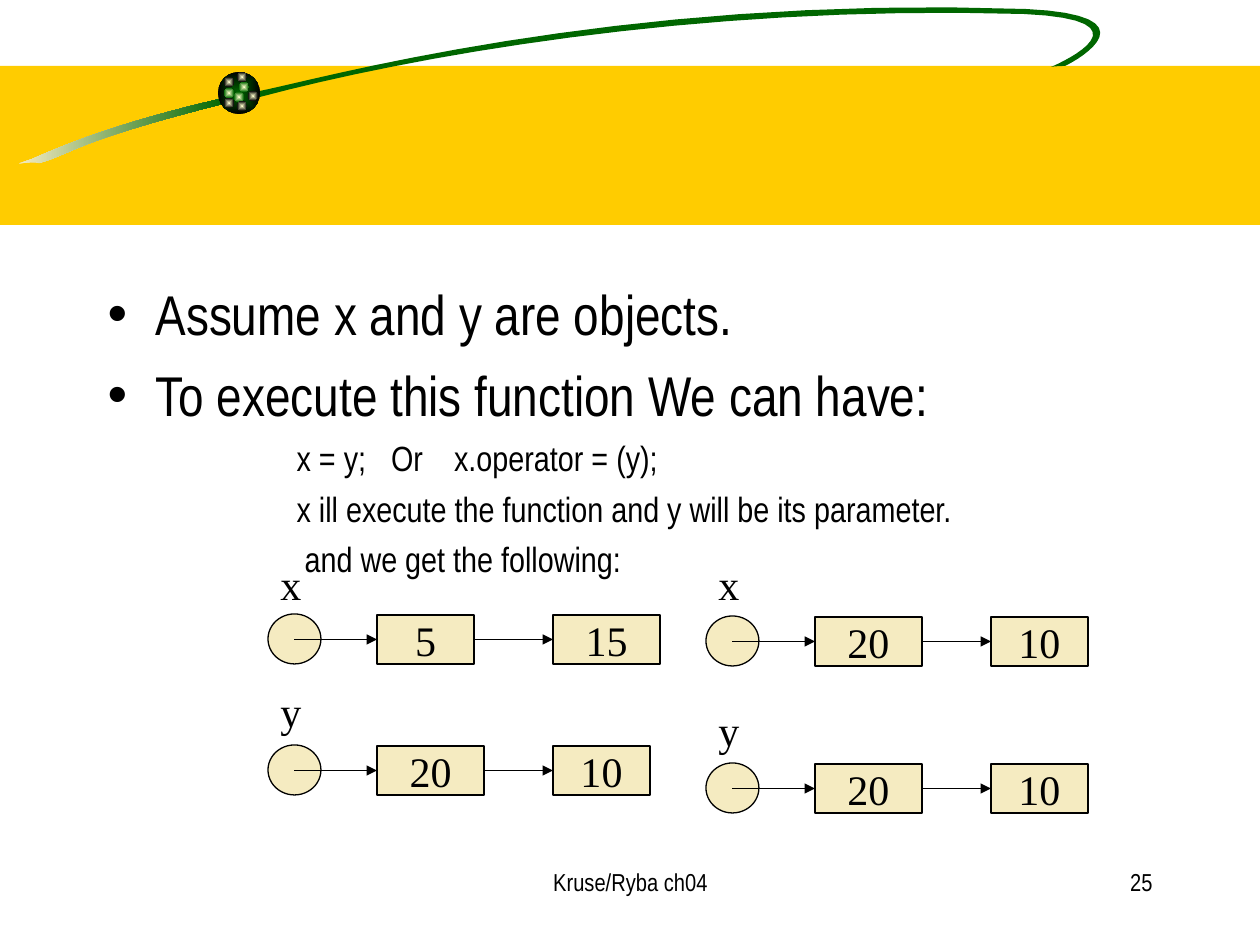
"""Build a slide on the assignment operator, with linked lists before and after."""
from lxml import etree
from pptx import Presentation, util as u
from pptx.dml.color import RGBColor
from pptx.enum import shapes, text
from pptx.oxml import parse_xml
from pptx.oxml.ns import nsdecls, qn

PX = 914400 / 126
BLACK, CREAM, GREEN, YELLOW, PALE = "000000", "F5EBC1", "006600", "FFCC00", "FFFFCC"
SANS, SERIF = "Arial Narrow", "Times New Roman"

BULLETS = ["Assume x and y are objects.", "To execute this function We can have:"]
DETAILS = [
    "x = y;\tOr \tx.operator = (y);",
    "x ill execute the function and y will be its parameter.",
    " and we get the following:",
]
FOOTERS = [
    ("Kruse/Ryba ch04", (431, 861, 399, 63), text.PP_ALIGN.CENTER),
    ("25", (903, 861, 262, 63), text.PP_ALIGN.RIGHT),
]
# name, left, label top, box top, (value, width) of each node
LISTS = [
    ("x", 268, 552, 615, [("5", 97), ("15", 107)]),
    ("y", 268, 679, 746, [("20", 107), ("10", 97)]),
    ("x", 706, 552, 617, [("20", 107), ("10", 97)]),
    ("y", 706, 698, 764, [("20", 107), ("10", 97)]),
]
FIRST_NODE, NODE_STEP, NODE_HEIGHT = 109, 176, 49
TAIL = [(224, 98), [(115, 123), (62, 146), (32, 159)], [(1, 169), (33, 159), (39, 163)],
        [(72, 154), (72, 142), (226, 103)]]
LOOP = [(255, 92), [(310, 82), (612, -6), (1026, 9)], [(1155, 15), (1080, 59), (1065, 66)],
        [(1065, 66), (1056, 66), (1051, 67)], [(1063, 62), (1154, 20), (1024, 14)],
        [(690, 4), (403, 59), (260, 97)]]
BALL = (218, 72, 42, 42)
DOTS = [(239, 82, GREEN), (224, 77, BLACK), (224, 88, GREEN), (234, 92, GREEN), (248, 91, BLACK),
        (237, 101, BLACK), (224, 98, BLACK), (237, 72, BLACK)]


def emu(*lengths):
    return [u.Emu(round(length * PX)) for length in lengths]


def colour(value):
    return RGBColor.from_string(value)


def paint(shape, fill, outline=None):
    shape.shadow.inherit = False
    shape.fill.solid()
    shape.fill.fore_color.rgb = colour(fill)
    if outline:
        shape.line.color.rgb = colour(outline)
        shape.line.width = u.Pt(0.75)
    else:
        shape.line.fill.background()


def shade(shape, start, end, centred=False):
    shape.fill.gradient()
    shape.fill.gradient_angle = 0
    for stop, value in zip(shape.fill.gradient_stops, (start, end)):
        stop.color.rgb = colour(value)
    for position, stop in enumerate(shape.fill.gradient_stops):
        stop.position = position
    if centred:
        linear = next(shape._element.iter(qn("a:lin")))
        linear.getparent().replace(linear, parse_xml(
            f'<a:path {nsdecls("a")} path="rect">'
            '<a:fillToRect l="50000" t="50000" r="50000" b="50000"/></a:path>'))


def add_preset(kind, box, fill, outline=None):
    shape = slide.shapes.add_shape(kind, *emu(*box))
    paint(shape, fill, outline)
    return shape


def add_curve(outline, fill, steps=16):
    start, *segments = outline
    points, last = [], start
    for first, second, end in segments:
        for step in range(1, steps + 1):
            t = step / steps
            weights = (1 - t) ** 3, 3 * t * (1 - t) ** 2, 3 * t * t * (1 - t), t ** 3
            points.append(tuple(sum(w * p[axis] for w, p in zip(weights, (last, first, second, end)))
                                for axis in (0, 1)))
        last = end
    builder = slide.shapes.build_freeform(*emu(*start))
    builder.add_line_segments([emu(*point) for point in points], close=True)
    shape = builder.convert_to_shape()
    paint(shape, fill)
    return shape


def write(paragraph, words, size, font, align=None):
    paragraph.alignment = align
    run = paragraph.add_run()
    run.text = words
    run.font.size, run.font.name = u.Pt(size), font
    run.font.color.rgb = colour(BLACK)


def add_label(words, box, size, font, align=None):
    frame = slide.shapes.add_textbox(*emu(*box)).text_frame
    frame.word_wrap = True
    write(frame.paragraphs[0], words, size, font, align)


def add_body():
    body = slide.placeholders[1]
    body.left, body.top, body.width, body.height = emu(95, 273, 1071, 567)
    lines = [(words, 0, 32, 8, 0.38, -0.38) for words in BULLETS]
    lines += [(words, 3, 20, 5, 1.75, -0.25) for words in DETAILS]
    frame = body.text_frame
    frame.auto_size = text.MSO_AUTO_SIZE.NONE
    for index, (words, level, size, before, margin, indent) in enumerate(lines):
        paragraph = frame.add_paragraph() if index else frame.paragraphs[0]
        paragraph.level, paragraph.space_before = level, u.Pt(before)
        write(paragraph, words, size, SANS)
        properties = paragraph._p.get_or_add_pPr()
        properties.set("marL", str(u.Inches(margin)))
        properties.set("indent", str(u.Inches(indent)))
        if level:
            etree.SubElement(properties, qn("a:buNone"))
        else:
            etree.SubElement(properties, qn("a:buChar"), char="•")


def add_arrow(x, y, target, source=None):
    connector = slide.shapes.add_connector(shapes.MSO_CONNECTOR.STRAIGHT, x, y, target.left, y)
    if source:
        connector.begin_connect(source, 3)
    connector.end_connect(target, 1)
    connector.line.color.rgb = colour(BLACK)
    connector.line.width = u.Pt(0.75)
    etree.SubElement(connector.line._get_or_add_ln(), qn("a:tailEnd"), type="triangle")
    etree.SubElement(connector._element.spPr, qn("a:effectLst"))


def add_list(name, left, label_top, top, nodes):
    head = add_preset(shapes.MSO_SHAPE.OVAL, (left, top - 1, 53, 50), CREAM, BLACK)
    add_label(name, (left, label_top, 47, 63), 24, SERIF)
    previous = None
    for index, (value, width) in enumerate(nodes):
        box = (left + FIRST_NODE + index * NODE_STEP, top, width, NODE_HEIGHT)
        node = add_preset(shapes.MSO_SHAPE.RECTANGLE, box, CREAM, BLACK)
        frame = node.text_frame
        frame.word_wrap = False
        frame.vertical_anchor = text.MSO_ANCHOR.MIDDLE
        write(frame.paragraphs[0], value, 24, SERIF, text.PP_ALIGN.CENTER)
        add_arrow(head.left + head.width // 2, node.top + node.height // 2, node, previous)
        previous = node


presentation = Presentation()
presentation.slide_width, presentation.slide_height = emu(1260, 945)
slide = presentation.slides.add_slide(presentation.slide_layouts[1])
title = slide.shapes.title._element
title.getparent().remove(title)

add_preset(shapes.MSO_SHAPE.RECTANGLE, (0, 66, 1260, 159), YELLOW)
shade(add_curve(TAIL, GREEN), CREAM, GREEN)
add_curve(LOOP, GREEN)
shade(add_preset(shapes.MSO_SHAPE.OVAL, BALL, GREEN), GREEN, BLACK, centred=True)
for x, y, edge in DOTS:
    shade(add_preset(shapes.MSO_SHAPE.OVAL, (x, y, 10, 10), edge), PALE, edge, centred=True)
add_body()
for words, box, align in FOOTERS:
    add_label(words, box, 14, SANS, align)
for entry in LISTS:
    add_list(*entry)
presentation.save("out.pptx")
